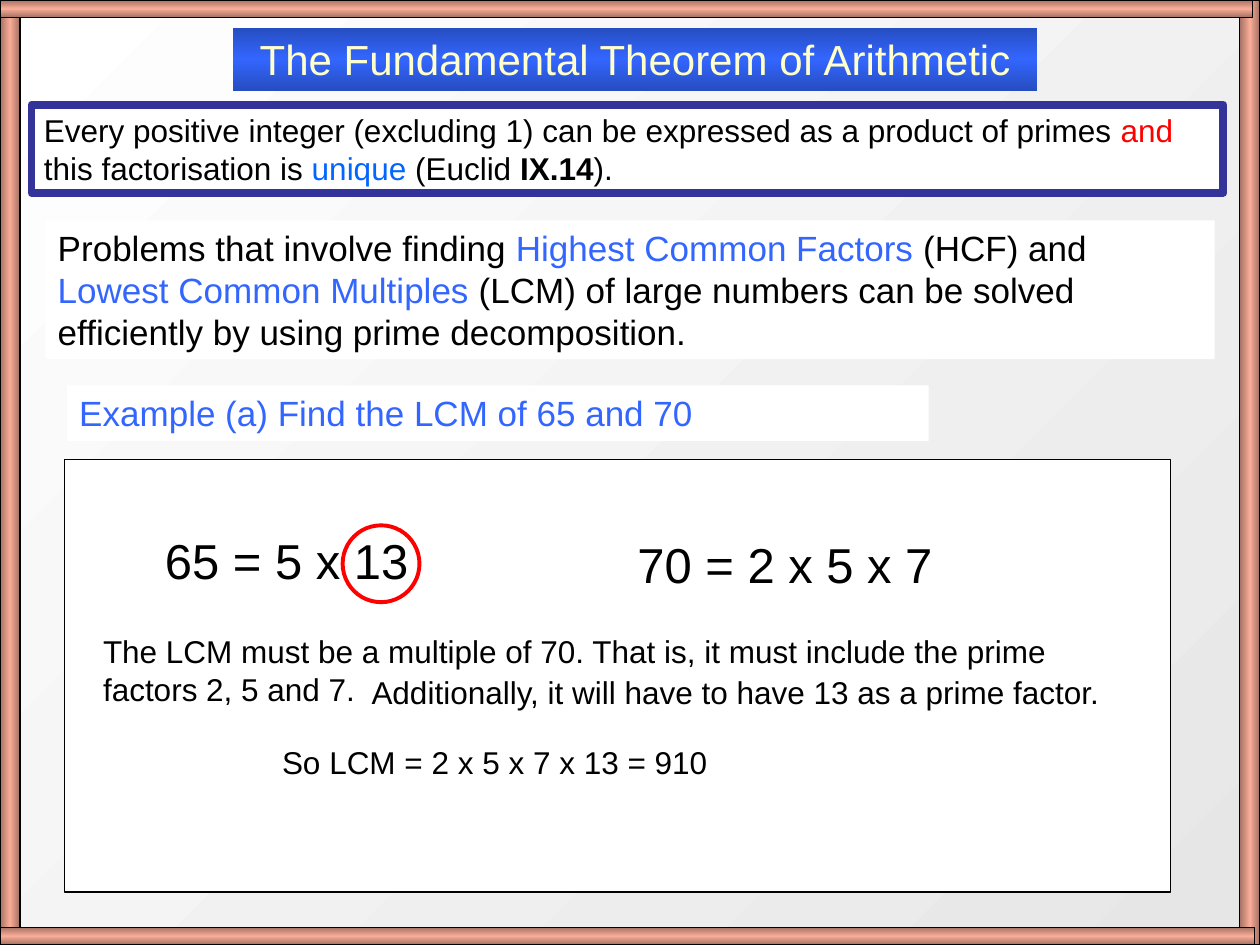
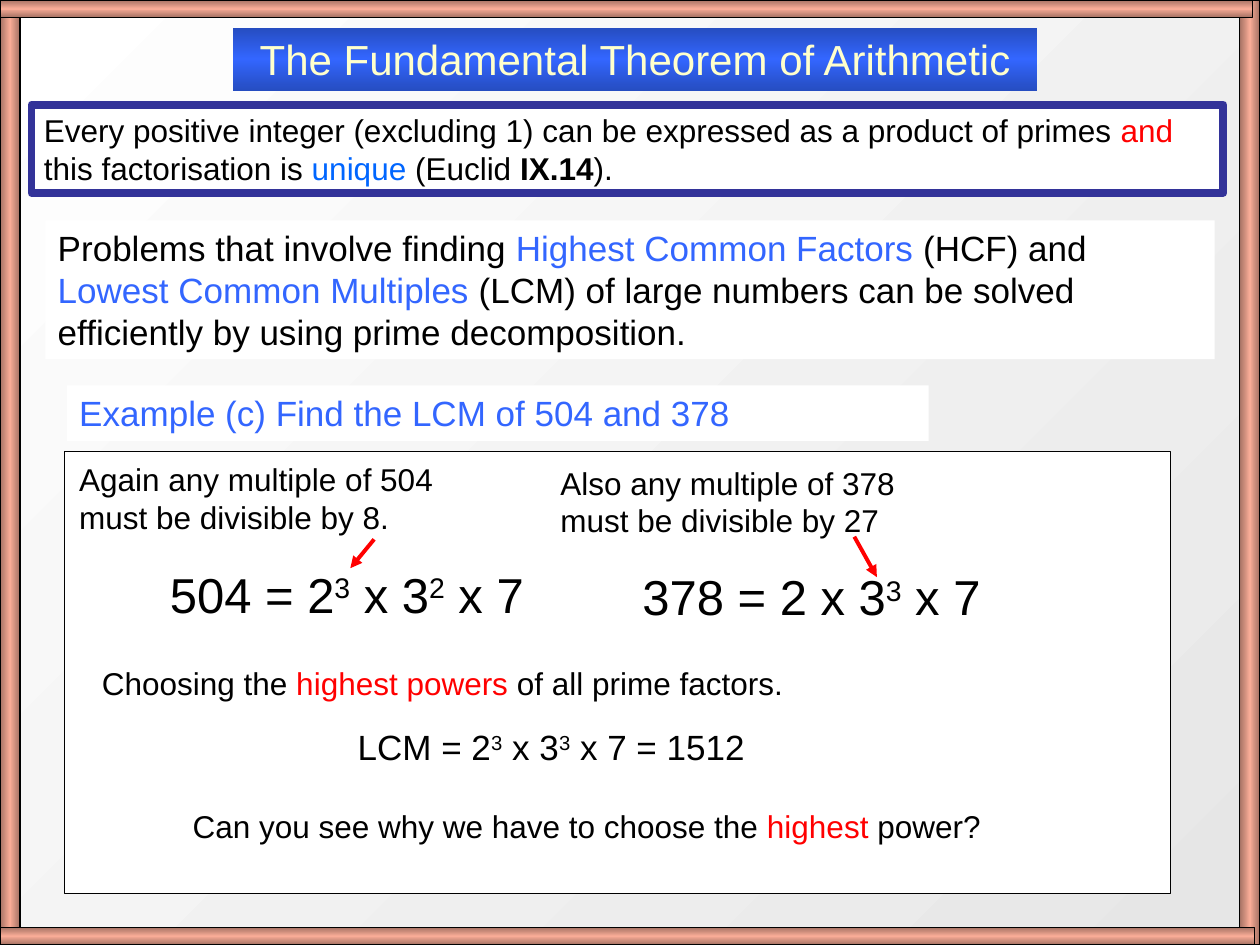
from dataclasses import dataclass
from typing import Optional

from lxml import etree
from pptx import Presentation
from pptx.dml.color import RGBColor
from pptx.enum.shapes import MSO_CONNECTOR as Connector, MSO_SHAPE as Preset
from pptx.enum.text import MSO_ANCHOR as Anchor, MSO_AUTO_SIZE as AutoSize, PP_ALIGN as Align
from pptx.oxml.ns import qn
from pptx.util import Pt

FONT = "Arial"
BLACK, WHITE, RED = "000000", "FFFFFF", "FF0000"
BLUE, LINK_BLUE, NAVY, CREAM = "3366FF", "0066FF", "333399", "FFFFCC"
PAGE_GRADIENT = ["E6E6E6", WHITE]
TITLE_GRADIENT = ["264DC1", BLUE, "264DC1"]
FRAME_GRADIENT = ["A47163", "F9AC97", "A47163"]
WIDTH, HEIGHT = 720, 540
SIDE, BAND = 11.5, 10.1  # thickness of the frame bars


@dataclass(frozen=True)
class Box:
    left: float
    top: float
    width: float
    height: float

    def lengths(self) -> list:
        return [Pt(v) for v in (self.left, self.top, self.width, self.height)]


@dataclass(frozen=True)
class Run:
    text: str
    color: str = BLACK
    bold: bool = False
    raised: bool = False


@dataclass(frozen=True)
class Text:
    box: Box
    size: float
    runs: tuple
    fill: Optional[str] = None
    line: Optional[str] = None
    line_width: float = 0


@dataclass(frozen=True)
class Arrow:
    x1: float
    y1: float
    x2: float
    y2: float


@dataclass(frozen=True)
class Example:
    panel: Box
    texts: tuple
    circles: tuple = ()
    arrows: tuple = ()


# Content shared by the slides
TITLE = "The Fundamental Theorem of Arithmetic"
TITLE_BOX = Box(133.2, 15.8, 459.4, 36)
FRAME = [
    (Box(0, 0, SIDE, HEIGHT), 180),
    (Box(WIDTH - SIDE, 0, SIDE, HEIGHT), 180),
    (Box(0, 0, 715.7, BAND), 90),
    (Box(0, HEIGHT - BAND, 717.1, BAND), 90),
]
THEOREM = Text(Box(18, 59.8, 681.1, 50.4), 18, (
    Run("Every positive integer (excluding 1) can be expressed as a product of primes "),
    Run("and", RED), Run(" this factorisation is "), Run("unique ", LINK_BLUE),
    Run("(Euclid "), Run("IX.14", bold=True), Run(")."),
), WHITE, NAVY, 4.5)
PROBLEMS = Text(Box(25.9, 126, 668.2, 79.2), 20, (
    Run("Problems that involve finding "), Run("Highest Common Factors", BLUE),
    Run(" (HCF) and "), Run("Lowest Common Multiples", BLUE),
    Run(" (LCM) of large numbers can be solved efficiently by using prime decomposition."),
), WHITE)


def heading(text: str) -> Text:
    return Text(Box(38.2, 220.3, 492.5, 31.7), 20, (Run(text, BLUE),), WHITE)


def factors(left: float, top: float, *runs: Run) -> Text:
    return Text(Box(left, top, 226.8, 41), 28, runs)


def note(left: float, top: float, width: float, *runs: Run, lines: int = 1) -> Text:
    return Text(Box(left, top, width, 7.2 + 21.6 * lines), 18, runs)


def power(exponent: str) -> Run:
    return Run(exponent, raised=True)


# Worked examples
EXAMPLES = [
    Example(
        panel=Box(36.7, 262.8, 632.2, 247),
        texts=(
            heading("Example (a) Find the LCM of 65 and 70"),
            factors(87.1, 299.5, Run("65 = 5 x 13")),
            factors(357.1, 301.7, Run("70 = 2 x 5 x 7")),
            note(51.8, 357.8, 596.9, Run("The LCM must be a multiple of 70. That is, it must "
                                         "include the prime factors 2, 5 and 7."), lines=2),
            note(154.1, 421.2, 292.3, Run("So LCM = 2 x 5 x 7 x 13 = 910")),
            note(205.2, 380.9, 432.7,
                 Run("Additionally, it will have to have 13 as a prime factor.")),
        ),
        circles=(Box(195.8, 300.2, 43.9, 43.9),),
    ),
    Example(
        panel=Box(36.7, 257.8, 632.2, 252.7),
        texts=(
            heading("Example (c) Find the LCM of 504 and 378"),
            factors(90, 319, Run("504 = 2"), power("3"), Run(" x 3"), power("2"), Run(" x 7")),
            factors(360, 320.4, Run("378 = 2 x 3"), power("3"), Run(" x 7")),
            note(51.1, 375.8, 596.9, Run("Choosing the "), Run("highest powers", RED),
                 Run(" of all prime factors.")),
            Text(Box(197.3, 411.1, 262.1, 31.7), 20,
                 (Run("LCM = 2"), power("3"), Run(" x 3"), power("3"), Run(" x 7 = 1512"))),
            note(103, 457.9, 470.9, Run("Can you see why we have to choose the "),
                 Run("highest", RED), Run(" power?")),
            note(38.2, 259.2, 244.8,
                 Run("Again any multiple of 504 must be divisible by 8."), lines=2),
            note(313.2, 261.4, 244.8,
                 Run("Also any multiple of 378 must be divisible by 27"), lines=2),
        ),
        arrows=(Arrow(213.8, 308.2, 200.2, 324.7), Arrow(488.2, 306.7, 501.1, 329.8)),
    ),
]


# Drawing helpers
def rgb(color: str) -> RGBColor:
    return RGBColor.from_string(color)


def fill_gradient(fill, element, colors: list, angle: float) -> None:
    """Spread the colours evenly; the angle runs clockwise."""
    fill.gradient()
    fill.gradient_angle = 360 - angle
    stops = element.find(".//" + qn("a:gsLst"))
    for stop in list(stops):
        stops.remove(stop)
    for i, color in enumerate(colors):
        position = 100000 * i // (len(colors) - 1)
        stop = etree.SubElement(stops, qn("a:gs"), pos=str(position))
        etree.SubElement(stop, qn("a:srgbClr"), val=color)


def style_line(line, color: Optional[str], width: float) -> None:
    if color is None:
        line.fill.background()
    else:
        line.color.rgb = rgb(color)
        line.width = Pt(width)


def add_shape(s, preset, box: Box, fill: Optional[str], line: Optional[str], width: float):
    sp = s.shapes.add_shape(preset, *box.lengths())
    sp.shadow.inherit = False
    if fill is None:
        sp.fill.background()
    else:
        sp.fill.solid()
        sp.fill.fore_color.rgb = rgb(fill)
    style_line(sp.line, line, width)
    return sp


def style_run(r, size: float, run: Run) -> None:
    r.font.name = FONT
    r.font.size = Pt(size)
    r.font.bold = run.bold
    r.font.color.rgb = rgb(run.color)
    if run.raised:
        r.font._element.set("baseline", "30000")


def add_text(s, text: Text) -> None:
    if text.fill is None:
        sp = s.shapes.add_textbox(*text.box.lengths())
    else:
        sp = add_shape(s, Preset.RECTANGLE, text.box, text.fill, text.line, text.line_width)
    tf = sp.text_frame
    tf.word_wrap = True
    tf.vertical_anchor = Anchor.TOP
    p = tf.paragraphs[0]
    p.alignment = Align.LEFT
    for run in text.runs:
        r = p.add_run()
        r.text = run.text
        style_run(r, text.size, run)


def add_title(s) -> None:
    sp = s.shapes.title
    sp.left, sp.top, sp.width, sp.height = TITLE_BOX.lengths()
    fill_gradient(sp.fill, sp._element, TITLE_GRADIENT, 90)
    tf = sp.text_frame
    tf.text = TITLE
    tf.word_wrap = True
    tf.auto_size = AutoSize.NONE
    tf.vertical_anchor = Anchor.TOP
    p = tf.paragraphs[0]
    p.alignment = Align.CENTER
    style_run(p.runs[0], 24, Run(TITLE, CREAM))


def add_frame(s) -> None:
    for box, angle in FRAME:
        sp = add_shape(s, Preset.RECTANGLE, box, None, BLACK, 0.75)
        fill_gradient(sp.fill, sp._element, FRAME_GRADIENT, angle)


def add_arrow(s, arrow: Arrow) -> None:
    ends = [Pt(v) for v in (arrow.x1, arrow.y1, arrow.x2, arrow.y2)]
    line = s.shapes.add_connector(Connector.STRAIGHT, *ends)
    style_line(line.line, RED, 2.25)
    etree.SubElement(line.line._get_or_add_ln(), qn("a:tailEnd"), type="triangle")
    etree.SubElement(line._element.spPr, qn("a:effectLst"))


def add_example(prs, example: Example) -> None:
    s = prs.slides.add_slide(prs.slide_layouts.get_by_name("Title Only"))
    add_shape(s, Preset.RECTANGLE, example.panel, WHITE, BLACK, 0.75)
    add_title(s)
    add_frame(s)
    for text in (THEOREM, PROBLEMS, *example.texts):
        add_text(s, text)
    for circle in example.circles:
        add_shape(s, Preset.OVAL, circle, None, RED, 2.25)
    for arrow in example.arrows:
        add_arrow(s, arrow)


def main() -> None:
    prs = Presentation()
    prs.slide_width, prs.slide_height = Pt(WIDTH), Pt(HEIGHT)
    master = prs.slide_master
    fill_gradient(master.background.fill, master._element, PAGE_GRADIENT, 225)
    for example in EXAMPLES:
        add_example(prs, example)
    prs.save("out.pptx")


if __name__ == "__main__":
    main()
